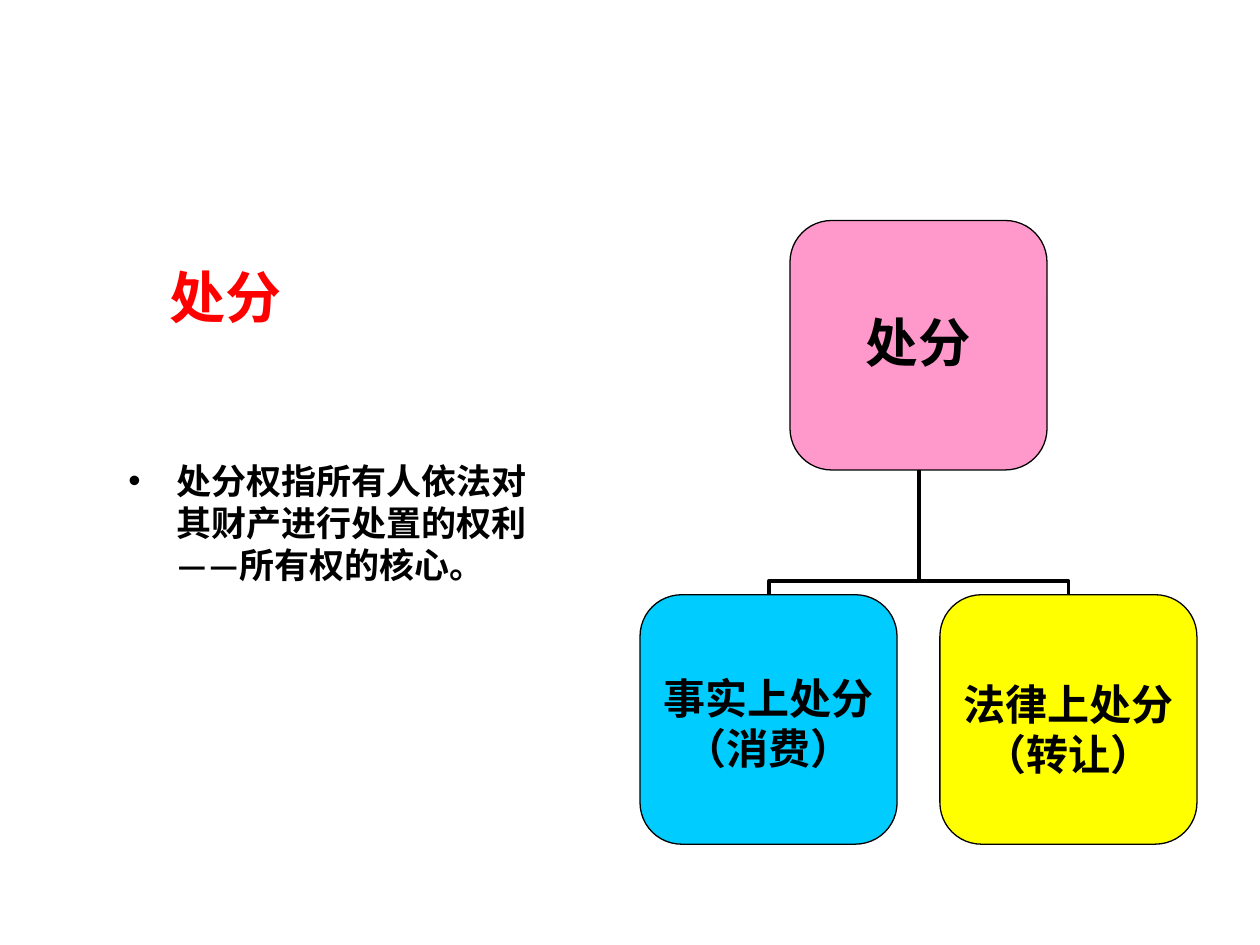
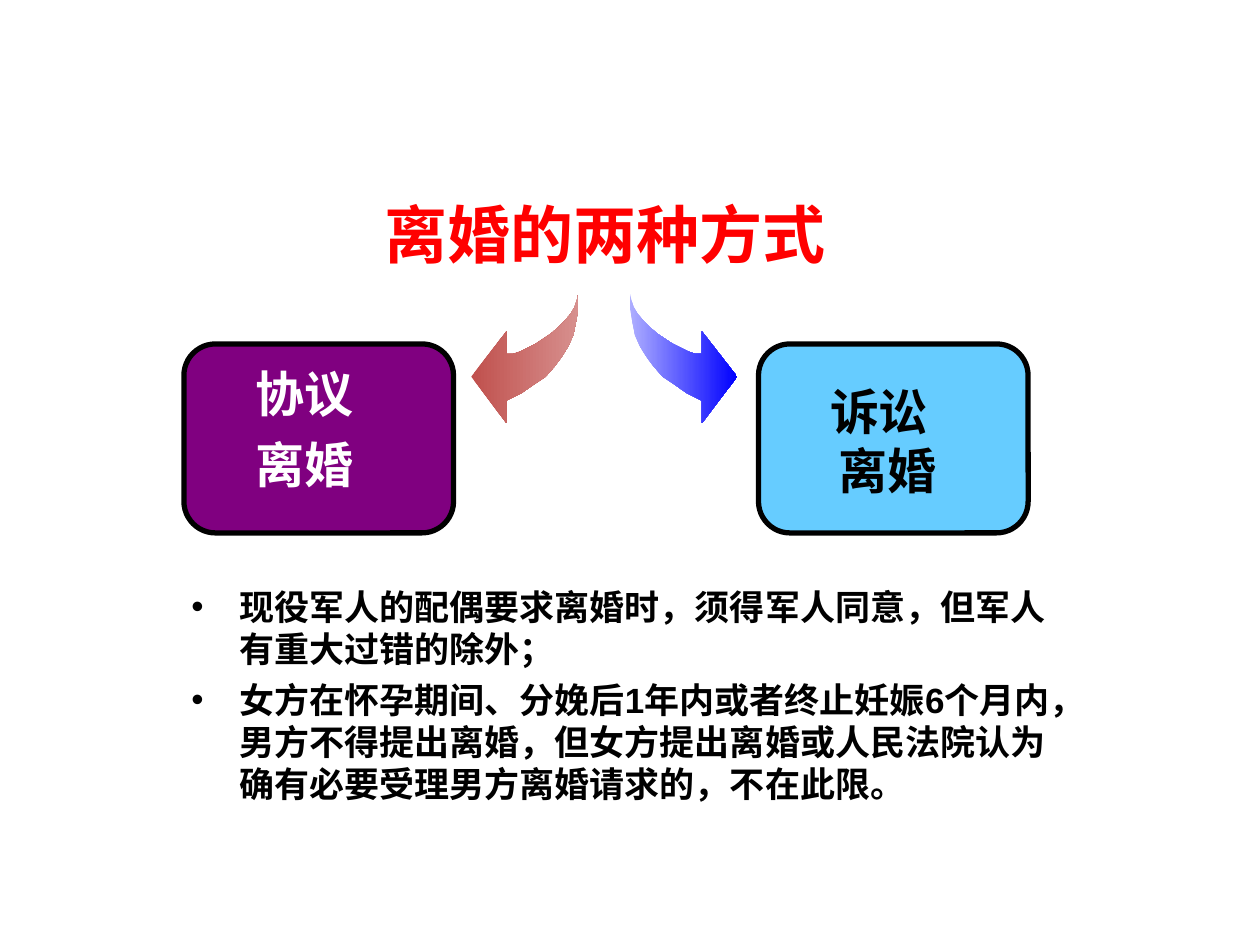
from lxml import etree
from pptx import Presentation
from pptx import util as u
from pptx.dml.color import RGBColor
from pptx.enum import shapes, text
from pptx.oxml.ns import qn

COLORS = {
    "red": "FF0000", "black": "000000", "white": "FFFFFF",
    "pink": "FF99CC", "cyan": "00CCFF", "yellow": "FFFF00",
    "purple": "800080", "sky": "66CCFF",
    "brick": "C0504D", "rose": "D7908E", "blue": "0000FF", "lilac": "AEAEFF",
}
CJK_FONT = "Noto Sans CJK SC"
HANGING = 0.38
LINE_FACTOR = 1.2        # line pitch as a share of the text size
BASELINE_DROP = 0.07     # lowers the lines, as a share of the text size

# Disposal: a parent above two children
DISPOSAL_TITLE = ["处分"]
DISPOSAL_POINT = [["处分权指所有人依法对其财产进行处置的权利 ", "——", "所有权的核心。"]]
NODE_SIZE = (2.04, 1.98)
PARENT_TOP, CHILD_TOP = 1.75, 4.72
CHILD_LEFT, CHILD_STEP = 5.08, 2.38
PARENT = (["处分"], "pink", 30, -0.06)      # lines, fill, size, text shift
CHILDREN = [
    (["事实上处分", "（消费）"], "cyan", 24, 0),
    (["法律上处分", "（转让）"], "yellow", 24, 0.05),
]
BEND = 0.107             # where the elbow turns, as a share of its length

# Divorce: two ways, two arrows
DIVORCE_TITLE = ["离婚的两种方式"]
WAY_SIZE = (2.14, 1.5)
WAY_TOP = 2.73
WAYS = [
    # box left, fill, lines, text area, text colour, first-line indent
    (1.46, "purple", ["协议", "离婚"], (1.93, 2.81, 1.65, 1.42), "white", -HANGING),
    (6.02, "sky", ["诉讼离婚"], (6.18, 2.95, 1.5, 1.43), "black", -0.07),
]
DIVORCE_RULES = [
    "现役军人的配偶要求离婚时，须得军人同意，但军人有重大过错的除外；",
    "女方在怀孕期间、分娩后1年内或者终止妊娠6个月内，男方不得提出离婚，"
    "但女方提出离婚或人民法院认为确有必要受理男方离婚请求的，不在此限。",
]
# Curved arrow in hundredths of an inch from its tail, pointing right
ARROW = [
    (0, 0), (0, 12), (2, 23), (4, 33), (8, 42), (13, 50), (19, 58), (26, 66),
    (35, 72), (45, 79), (57, 85), (57, 103), (85, 66), (57, 30), (57, 48),
    (52, 48), (46, 46), (40, 43), (34, 40), (28, 36), (22, 32), (16, 27),
    (11, 22), (6, 16), (3, 11), (1, 5),
]
ARROW_TOP = 233
ARROWS = [(459, -1, "brick", "rose"), (500, 1, "lilac", "blue")]


def rgb(name):
    return RGBColor.from_string(COLORS[name])


def add_span(para, words, size, font, color):
    span = para.add_run()
    span.text = words
    span.font.size = u.Pt(size)
    span.font.name = font
    span.font.bold = True
    span.font.color.rgb = rgb(color)
    east_asian = etree.SubElement(span.font._element, qn("a:ea"))
    east_asian.set("typeface", font if words == "——" else CJK_FONT)


def indent(para, first, bullet):
    props = para._p.get_or_add_pPr()
    props.set("marL", str(u.Inches(HANGING)))
    props.set("indent", str(u.Inches(first)))
    if bullet:
        color = etree.SubElement(props, qn("a:buClr"))
        etree.SubElement(color, qn("a:srgbClr")).set("val", COLORS["black"])
        etree.SubElement(props, qn("a:buFont")).set("typeface", "Arial")
        etree.SubElement(props, qn("a:buChar")).set("char", "•")


def write(frame, lines, size, font, color, align=text.PP_ALIGN.LEFT,
          before=0, first=None, bullet=False):
    """Fill a frame; a line is a string or a list of strings, one per run."""
    for number, line in enumerate(lines):
        para = frame.add_paragraph() if number else frame.paragraphs[0]
        para.alignment = align
        para.line_spacing = u.Pt(size * LINE_FACTOR)
        para.space_before = u.Pt(before)
        if first is not None:
            indent(para, first, bullet)
        for words in [line] if isinstance(line, str) else line:
            add_span(para, words, size, font, color)


def add_text(page, area, lines, size, font, color, wrap=True, **layout):
    box = page.shapes.add_textbox(*map(u.Inches, area))
    frame = box.text_frame
    frame.word_wrap = wrap
    frame.margin_top = u.Inches(0.05 + BASELINE_DROP * size / 72)
    write(frame, lines, size, font, color, **layout)


def add_rounded(page, left, top, size, fill, line_width):
    box = page.shapes.add_shape(
        shapes.MSO_SHAPE.ROUNDED_RECTANGLE, *map(u.Inches, (left, top, *size)))
    box.shadow.inherit = False
    box.fill.solid()
    box.fill.fore_color.rgb = rgb(fill)
    box.line.color.rgb = rgb("black")
    box.line.width = u.Pt(line_width)
    return box


def add_node(page, left, top, node):
    lines, fill, size, shift = node
    frame = add_rounded(page, left, top, NODE_SIZE, fill, 0.75).text_frame
    frame.word_wrap = False
    frame.vertical_anchor = text.MSO_ANCHOR.MIDDLE
    push = 2 * (shift + BASELINE_DROP * size / 72)
    frame.margin_left = frame.margin_right = 0
    frame.margin_top = u.Inches(max(push, 0))
    frame.margin_bottom = u.Inches(max(-push, 0))
    write(frame, lines, size, "Times New Roman", "black",
          align=text.PP_ALIGN.CENTER)


def add_elbow(page, child_x, parent_x, child_y, parent_y):
    """Join a child's top to the parent's bottom, leaving the child upwards."""
    run, rise = abs(child_x - parent_x), child_y - parent_y
    mid_x, mid_y = (child_x + parent_x) / 2, (child_y + parent_y) / 2
    left, right = mid_x - rise / 2, mid_x + rise / 2
    on_right = child_x > parent_x
    ends = (left, right) if on_right else (right, left)
    elbow = page.shapes.add_connector(
        shapes.MSO_CONNECTOR.ELBOW, u.Inches(ends[0]), u.Inches(mid_y + run / 2),
        u.Inches(ends[1]), u.Inches(mid_y - run / 2))
    elbow.line.color.rgb = rgb("black")
    elbow.line.width = u.Pt(2.25)
    props = elbow._element.spPr
    props.find(qn("a:xfrm")).set("rot", str((270 if on_right else 90) * 60000))
    guides = props.find(qn("a:prstGeom")).find(qn("a:avLst"))
    guide = etree.SubElement(guides, qn("a:gd"))
    guide.set("name", "adj1")
    guide.set("fmla", f"val {round(BEND * 100000)}")
    etree.SubElement(props, qn("a:effectLst"))


def add_arrow(page, tail, direction, left_color, right_color):
    points = [(tail + direction * x, ARROW_TOP + y) for x, y in ARROW]
    builder = page.shapes.build_freeform(*points[0], scale=u.Inches(0.01))
    builder.add_line_segments(points[1:], close=True)
    arrow = builder.convert_to_shape()
    arrow.shadow.inherit = False
    arrow.line.fill.background()
    arrow.fill.gradient()
    arrow.fill.gradient_angle = 0
    for stop, color in zip(arrow.fill.gradient_stops, (left_color, right_color)):
        stop.color.rgb = rgb(color)


def build_disposal(page):
    add_text(page, (0.92, 3.58, 3.5, 1.33), DISPOSAL_POINT, 20, "Calibri",
             "black", before=5, first=-HANGING, bullet=True)
    add_text(page, (1.25, 2, 1.09, 0.64), DISPOSAL_TITLE, 32, "Arial", "red",
             wrap=False)
    width, height = NODE_SIZE
    lefts = [CHILD_LEFT + CHILD_STEP * i for i in range(len(CHILDREN))]
    parent_left = sum(lefts) / len(lefts)
    for left in lefts:
        add_elbow(page, left + width / 2, parent_left + width / 2,
                  CHILD_TOP, PARENT_TOP + height)
    add_node(page, parent_left, PARENT_TOP, PARENT)
    for left, child in zip(lefts, CHILDREN):
        add_node(page, left, CHILD_TOP, child)


def build_divorce(page):
    add_text(page, (2.95, 1.47, 3.78, 0.86), DIVORCE_TITLE, 36, CJK_FONT, "red",
             before=9, first=-HANGING)
    for left, fill, lines, area, color, first in WAYS:
        add_rounded(page, left, WAY_TOP, WAY_SIZE, fill, 3)
        add_text(page, area, lines, 28, "Arial", color, before=7, first=first)
    for arrow in ARROWS:
        add_arrow(page, *arrow)
    add_text(page, (1.42, 4.58, 7.09, 2.23), DIVORCE_RULES, 20, "Arial", "black",
             before=5, first=-HANGING, bullet=True)


def main():
    deck = Presentation()
    deck.slide_width, deck.slide_height = u.Inches(10), u.Inches(7.5)
    for build in (build_disposal, build_divorce):
        build(deck.slides.add_slide(deck.slide_layouts[6]))
    deck.save("out.pptx")


if __name__ == "__main__":
    main()
